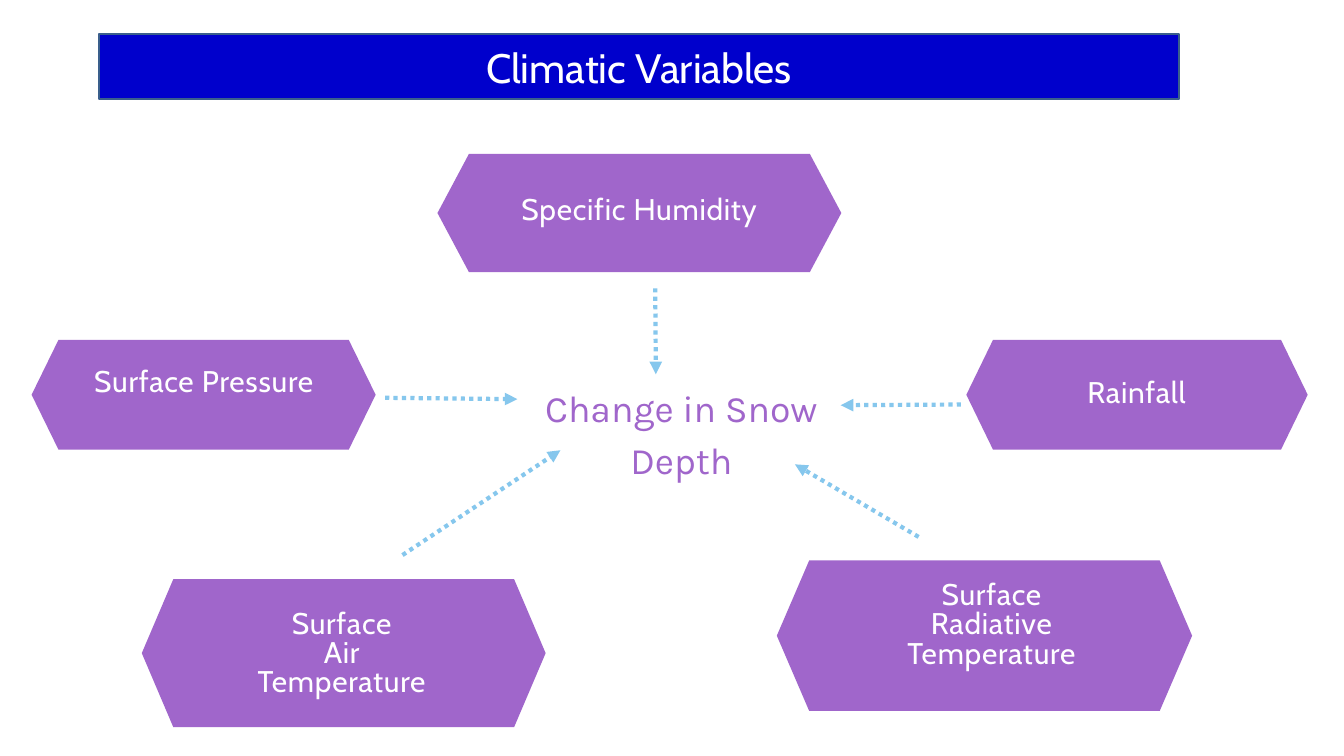
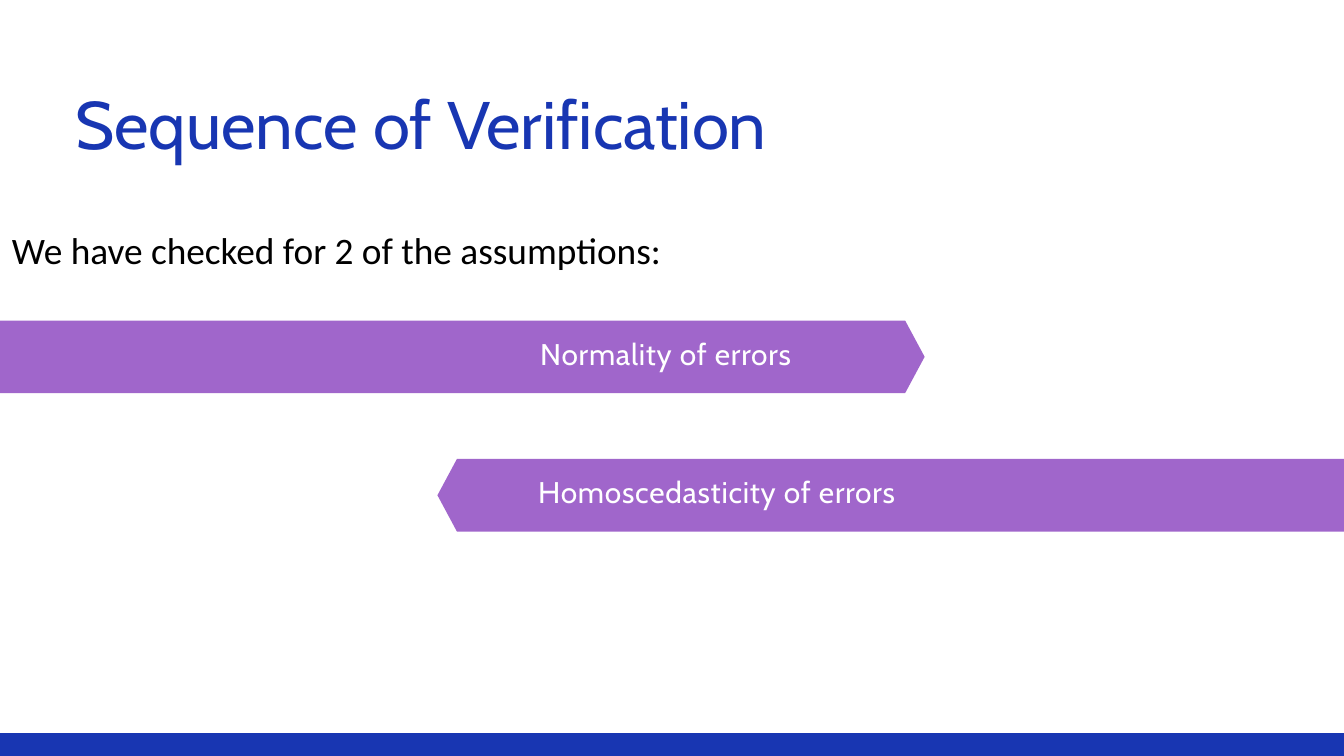
from lxml.etree import SubElement
from pptx import Presentation
from pptx.dml.color import RGBColor
from pptx.enum.dml import MSO_LINE
from pptx.enum.shapes import MSO_CONNECTOR, MSO_SHAPE
from pptx.enum.text import MSO_ANCHOR, MSO_AUTO_SIZE, PP_ALIGN
from pptx.oxml.ns import qn
from pptx.util import Inches, Pt

WHITE = RGBColor(0xFF, 0xFF, 0xFF)
BLACK = RGBColor(0, 0, 0)
PURPLE = RGBColor(0xA0, 0x66, 0xCB)
SKY = RGBColor(0x86, 0xC7, 0xED)
NAVY = RGBColor(0x18, 0x36, 0xB2)
BLUE = RGBColor(0, 0, 0xCC)
EDGE = RGBColor(0x3A, 0x5F, 0x8C)

HEAD = "Cabin"
CENTER, LEFT, RIGHT = PP_ALIGN.CENTER, PP_ALIGN.LEFT, PP_ALIGN.RIGHT


def write(frame, lines, size, color, font=HEAD, align=LEFT, lead=None,
          track=None, inset=None):
    """Fill a text frame, one paragraph for each line."""
    frame.word_wrap = True
    frame.auto_size = MSO_AUTO_SIZE.NONE
    frame.vertical_anchor = MSO_ANCHOR.TOP
    if inset is not None:
        frame.margin_left = frame.margin_right = Inches(inset)
        frame.margin_top = frame.margin_bottom = Inches(inset)
    for i, line in enumerate(lines):
        para = frame.add_paragraph() if i else frame.paragraphs[0]
        para.alignment = align
        if lead:
            para.line_spacing = Pt(lead)
        run = para.add_run()
        run.text = line
        run.font.name = font
        run.font.size = Pt(size)
        run.font.color.rgb = color
        if track:
            run._r.get_or_add_rPr().set("spc", str(track))


def add_text(shapes, box, lines, size, color, **style):
    area = shapes.add_textbox(*map(Inches, box))
    write(area.text_frame, lines, size, color, **style)


def add_title(slide, box, text, size, color, **style):
    title = slide.shapes.title
    title.left, title.top, title.width, title.height = map(Inches, box)
    write(title.text_frame, [text], size, color, **style)
    return title


def add_hex(slide, box, lines, label, align=CENTER, tip=0.078):
    """Pointed bar; label is the text box relative to the bar's corner."""
    x, y, w, h = box
    cut = w * tip
    points = [(x + w - cut, y), (x + w, y + h / 2), (x + w - cut, y + h),
              (x + cut, y + h), (x, y + h / 2)]
    shapes = slide.shapes.add_group_shape().shapes
    path = shapes.build_freeform(Inches(x + cut), Inches(y))
    path.add_line_segments([(Inches(a), Inches(b)) for a, b in points])
    bar = path.convert_to_shape()
    bar.shadow.inherit = False
    bar.fill.solid()
    bar.fill.fore_color.rgb = PURPLE
    bar.line.fill.background()
    dx, dy, wide, high = label
    add_text(shapes, (x + dx, y + dy, wide, high), lines, 32, WHITE,
             align=align, lead=31.2, track=80, inset=0)


def add_arrow(slide, start, end):
    line = slide.shapes.add_connector(MSO_CONNECTOR.STRAIGHT,
                                      *map(Inches, start + end))
    line.line.color.rgb = SKY
    line.line.width = Pt(4.5)
    line.line.dash_style = MSO_LINE.ROUND_DOT
    SubElement(line.line._get_or_add_ln(), qn("a:tailEnd"), type="triangle")
    SubElement(line._element.spPr, qn("a:effectLst"))


def climate(slide):
    # Title banner
    band = add_title(slide, (1.47, 0.51, 16.08, 0.97), "Climatic Variables",
                     44, WHITE, align=CENTER)
    band.text_frame.vertical_anchor = MSO_ANCHOR.MIDDLE
    band.fill.solid()
    band.fill.fore_color.rgb = BLUE
    band.line.color.rgb = EDGE
    band.line.width = Pt(2)

    # Variables around the outcome
    for box, lines, label in [
        ((6.51, 2.29, 6.01, 1.76), ["Specific Humidity"],
         (0.95, 0.64, 4.11, 0.44)),
        ((0.47, 5.06, 5.12, 1.63), ["Surface Pressure"],
         (0.84, 0.43, 3.45, 0.88)),
        ((14.38, 5.06, 5.08, 1.63), ["Rainfall"],
         (0.8, 0.6, 3.47, 0.44)),
        ((2.11, 8.62, 6.01, 2.2), ["Surface", "Air", "Temperature"],
         (0.92, 0.47, 4.11, 1.31)),
        ((11.56, 8.34, 6.18, 2.24), ["Surface", "Radiative", "Temperature"],
         (0.15, 0.33, 6.09, 1.37)),
    ]:
        add_hex(slide, box, lines, label)

    # Arrows to the outcome
    for start, end in [
        ((9.75, 4.29), (9.76, 5.57)),
        ((5.73, 5.92), (7.7, 5.94)),
        ((14.3, 6.02), (12.51, 6.03)),
        ((5.99, 8.26), (8.34, 6.7)),
        ((13.67, 7.99), (11.83, 6.91)),
    ]:
        add_arrow(slide, start, end)

    # Outcome
    add_text(slide.shapes, (8.06, 5.62, 4.16, 1.57), ["Change in Snow Depth"],
             40, PURPLE, font="Karla", align=CENTER, lead=56, inset=0)


def checks(slide):
    # Title and lead-in
    add_title(slide, (1.12, 1.2, 12.23, 1.19), "Sequence of Verification",
              72, NAVY, lead=88, inset=0)
    add_text(slide.shapes, (0.08, 3.33, 11.17, 0.77),
             ["We have checked for 2 of the assumptions:"], 40, BLACK,
             font="Calibri")

    # Bars that run off either edge
    for x, y, text, label, align in [
        (-0.74, 4.77, "Normality of errors", (1.28, 0.32, 11.24, 0.44), RIGHT),
        (6.51, 6.83, "Homoscedasticity of errors",
         (1.5, 0.32, 12.17, 0.44), LEFT),
    ]:
        add_hex(slide, (x, y, 14.5, 1.08), [text], label, align, tip=0.02)

    # Bottom band
    band = slide.shapes.add_shape(MSO_SHAPE.RECTANGLE, *map(
        Inches, (-0.2, 10.91, 20.39, 0.55)))
    band.shadow.inherit = False
    band.fill.solid()
    band.fill.fore_color.rgb = NAVY
    band.line.fill.background()


def main():
    deck = Presentation()
    deck.slide_width, deck.slide_height = Inches(20), Inches(11.25)
    for build in (climate, checks):
        build(deck.slides.add_slide(deck.slide_layouts[5]))
    deck.save("out.pptx")


if __name__ == "__main__":
    main()
